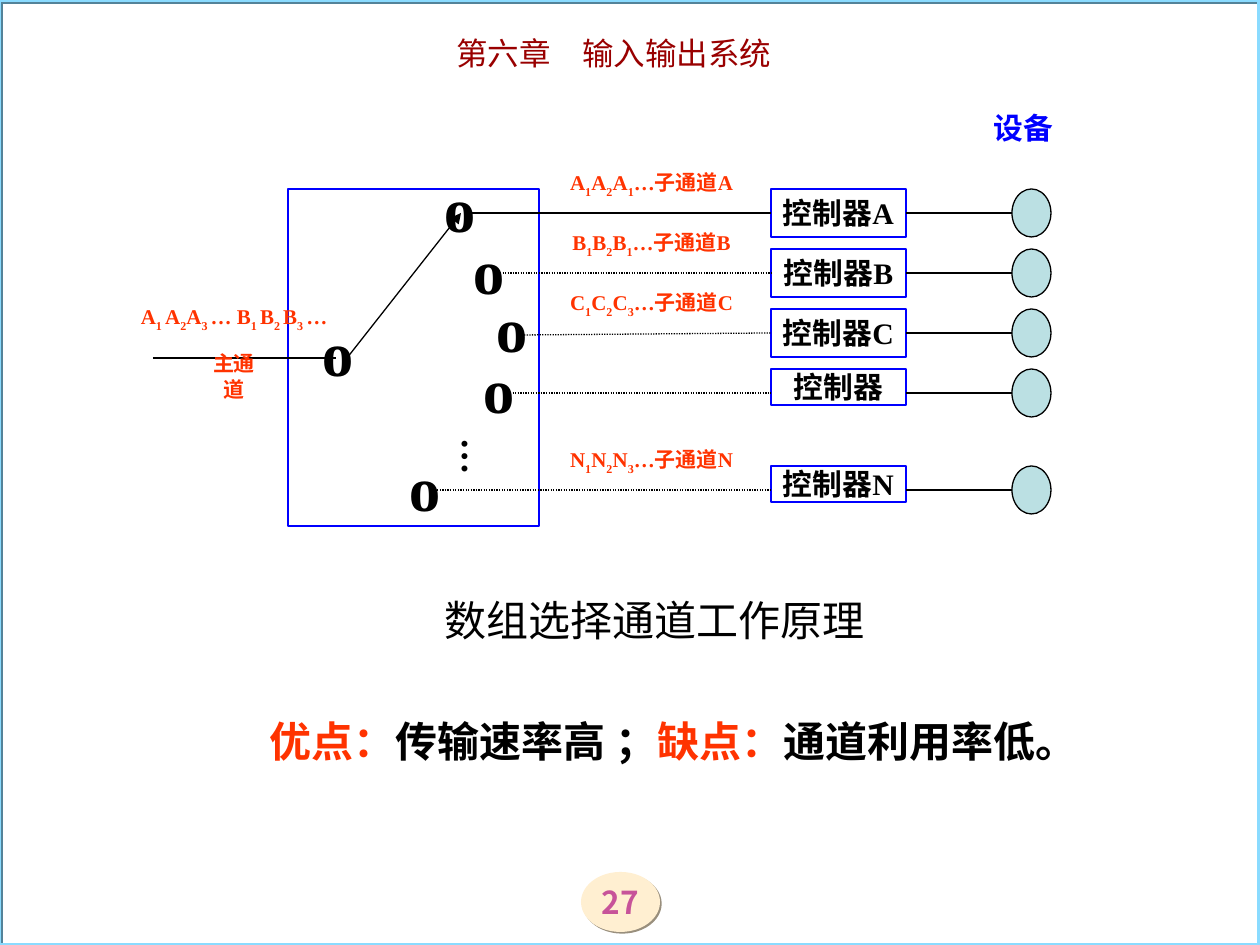
"""Build a slide on how an array selector channel works."""
from lxml import etree
from pptx import Presentation
from pptx.dml.color import RGBColor
from pptx.enum.dml import MSO_LINE
from pptx.enum.shapes import MSO_CONNECTOR, MSO_SHAPE
from pptx.enum.text import MSO_ANCHOR, PP_ALIGN
from pptx.oxml.ns import qn
from pptx.util import Pt

RECT, OVAL = MSO_SHAPE.RECTANGLE, MSO_SHAPE.OVAL
STRAIGHT, DOTS = MSO_CONNECTOR.STRAIGHT, MSO_LINE.ROUND_DOT
TOP, MIDDLE, CENTER = MSO_ANCHOR.TOP, MSO_ANCHOR.MIDDLE, PP_ALIGN.CENTER
SCALE = 914400 / 126
SERIF, SANS, TITLE = "Times New Roman", "Noto Sans CJK SC", "Noto Sans CJK JP"
BLACK, BLUE, RED = "000000", "0000FF", "FF3300"
hue = RGBColor.from_string

deck = Presentation()
deck.slide_width, deck.slide_height = int(1260 * SCALE), int(945 * SCALE)
shapes = deck.slides.add_slide(deck.slide_layouts[6]).shapes


def put(box, text="", size=12, color=BLACK, font=SERIF, bold=True,
        kind=None, fill=None, edge=None, width=0.75):
    """Add a shape or text box; text between underscores is subscript."""
    area = [int(n * SCALE) for n in box]
    if kind is None:
        shape = shapes.add_textbox(*area)
    else:
        shape = shapes.add_shape(kind, *area)
        shape.shadow.inherit = False
        if fill:
            shape.fill.solid()
            shape.fill.fore_color.rgb = hue(fill)
        else:
            shape.fill.background()
        if edge:
            shape.line.color.rgb = hue(edge)
            shape.line.width = Pt(width)
        else:
            shape.line.fill.background()
    if text:
        frame = shape.text_frame
        frame.word_wrap = False
        frame.vertical_anchor = MIDDLE if kind else TOP
        frame.margin_left = frame.margin_right = int(11 * SCALE)
        frame.margin_top = frame.margin_bottom = int(5 * SCALE)
        para = frame.paragraphs[0]
        para.alignment = CENTER
        para.font.name, para.font.size, para.font.bold = font, Pt(size), bold
        para.font.color.rgb = hue(color)
        for i, part in enumerate(text.split("_")):
            if part:
                run = para.add_run()
                run.text = part
                if i % 2:
                    run._r.get_or_add_rPr().set("baseline", "-25000")
    return shape


def link(x1, y1, x2, y2, dash=None, head=False):
    """Add a thin black line, optionally dotted or with an arrowhead."""
    wire = shapes.add_connector(STRAIGHT, *[int(n * SCALE) for n in (x1, y1, x2, y2)])
    wire.line.color.rgb = hue(BLACK)
    wire.line.width = Pt(0.75)
    if dash:
        wire.line.dash_style = dash
    if head:
        etree.SubElement(wire.line._get_or_add_ln(), qn("a:tailEnd"), type="triangle")
    etree.SubElement(wire._element.spPr, qn("a:effectLst"))
    return wire


disc = put((581, 872, 79, 60), "27", 18, "C75399", SANS, kind=OVAL, fill="FFEFD1")
border = put((-1, 0, 1260, 945), kind=RECT, edge="8ADBFF", width=2.25)
for shape, shade in (disc, "998F7D"), (border, "538399"):
    cast = etree.SubElement(shape._element.spPr.find(qn("a:effectLst")), qn("a:outerShdw"),
                            dist=str(Pt(1.4)), dir="2700000", algn="ctr", rotWithShape="0")
    etree.SubElement(cast, qn("a:srgbClr"), val=shade)

put((262, 29, 704, 50), "第六章　输入输出系统", 18, "990000", TITLE, False)
put((982, 105, 82, 47), "设备", 17, BLUE)
put((288, 189, 251, 337), kind=RECT, edge=BLUE)

rows = [
    ("A", 189, 48, 471, 213, 433, 165, "A_1_A_2_A_1_…子通道A"),
    ("B", 249, 48, 500, 273, 462, 227, "B_1_B_2_B_1_…子通道B"),
    ("C", 309, 48, 519, 335, 485, 285, "C_1_C_2_C_3_…子通道C"),
    ("", 369, 36, 510, 393, 472, 346, ""),
    ("N", 466, 36, 432, 490, 398, 444, "N_1_N_2_N_3_…子通道N"),
]
for name, top, high, x, y, left, dot, label in rows:
    unit = put((771, top, 135, high), "控制器" + name, 17, kind=RECT, edge=BLUE)
    put((1012, top, 39, 48), kind=OVAL, fill="BBE0E3", edge=BLACK)
    mid = top + 24
    feed = link(x, y, 771, mid, None if name == "A" else DOTS)
    out = link(906, mid, 1012, mid)
    if high == 48:
        feed.end_connect(unit, 1)
        out.begin_connect(unit, 3)
    put((left, dot, 53, 87), "o", 36)
    if label:
        put((554, top - 24, 195, 39), label, color=RED)

link(153, 358, 336, 358)
link(347, 358, 461, 213, head=True)
put((311, 309, 53, 87), "o", 36)
put((123, 299, 222, 39), "A_1 _A_2_A_3 _… B_1 _B_2 _B_3 _…", color=RED)
put((192, 346, 84, 37), "主通道", color=RED)

more = put((438, 428, 66, 72), "…", 21).text_frame
more._txBody.bodyPr.set("vert", "eaVert")
more.word_wrap = True
more.margin_left = more.margin_right = int(5 * SCALE)
more.margin_top = more.margin_bottom = int(11 * SCALE)
more.paragraphs[0].font.italic = True

topic = put((432, 588, 445, 63), "数组选择通道工作原理", 24, font="Arial", bold=False)
topic.text_frame.vertical_anchor = MIDDLE

notes = put((238, 711, 829, 62), "优点：", 24, RED).text_frame.paragraphs[0]
for text, color in ("传输速率高 ；", BLACK), ("缺点：", RED), ("通道利用率低。", BLACK):
    run = notes.add_run()
    run.text = text
    run.font.color.rgb = hue(color)

deck.save("out.pptx")
